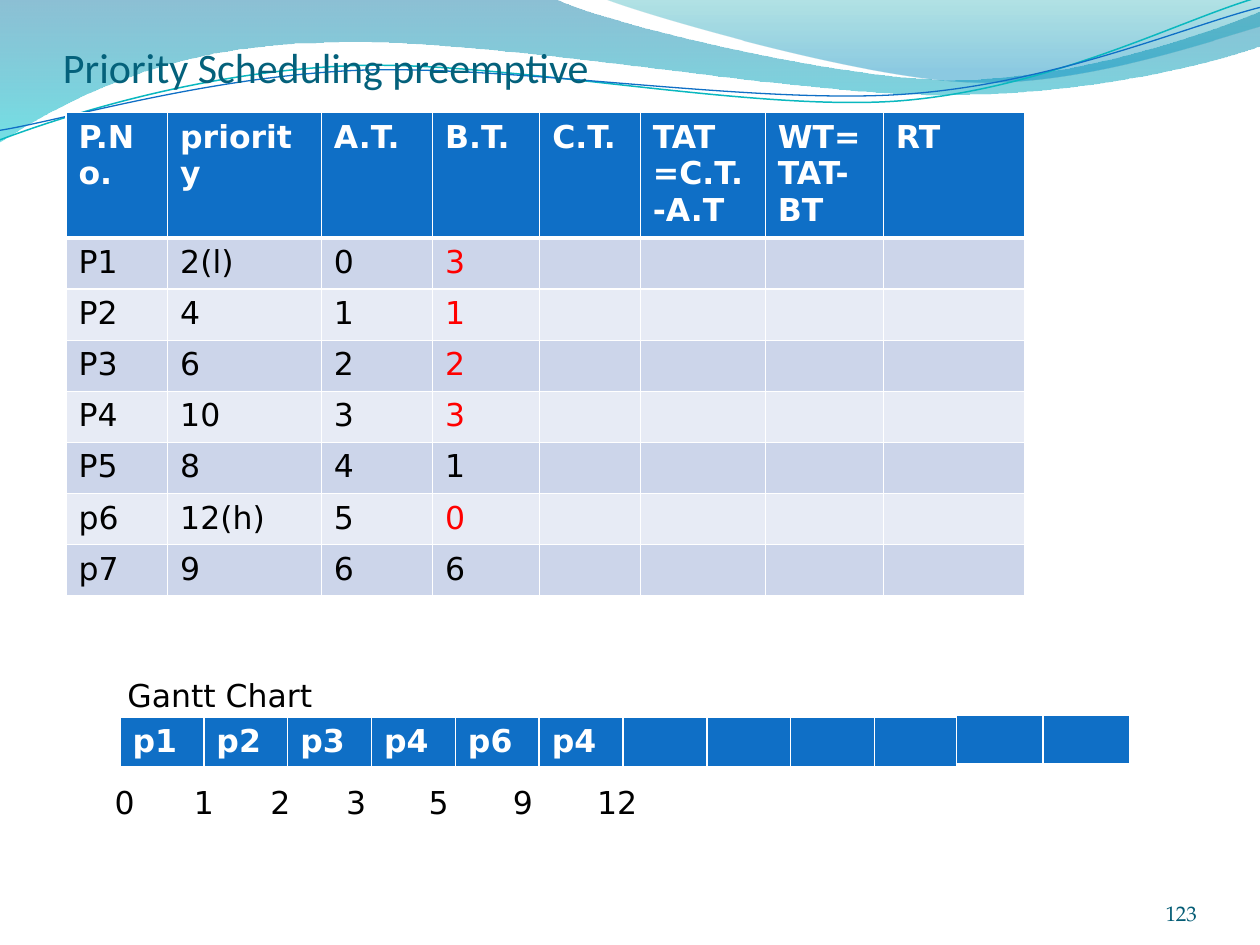
from typing import NamedTuple, Optional

import pptx
import pptx.dml.color
import pptx.enum.text
import pptx.oxml.ns
import pptx.util
from lxml import etree

Cm = pptx.util.Cm
Pt = pptx.util.Pt
RGBColor = pptx.dml.color.RGBColor
Align = pptx.enum.text.PP_ALIGN
Anchor = pptx.enum.text.MSO_ANCHOR
qn = pptx.oxml.ns.qn

BLUE = RGBColor(0x0F, 0x6F, 0xC6)
TEAL = RGBColor(0x0A, 0xB8, 0xBF)
WHITE = RGBColor(0xFF, 0xFF, 0xFF)
BLACK = RGBColor(0, 0, 0)
RED = RGBColor(0xFF, 0, 0)
TITLE_TEAL = RGBColor(0x04, 0x61, 0x7B)
NUMBER_TEAL = RGBColor(0x04, 0x5C, 0x75)
ODD_ROW = RGBColor(0xCC, 0xD5, 0xEA)
EVEN_ROW = RGBColor(0xE7, 0xEB, 0xF5)

BODY = {"name": "DejaVu Sans", "size": Pt(18), "bold": False}
HEADER = {**BODY, "bold": True}
TITLE = {"name": "Calibri", "size": Pt(24), "bold": False}
NUMBER = {"name": "TeX Gyre Pagella", "size": Pt(12), "bold": False}

LINE_TILT = 357.3


class Stop(NamedTuple):
    position: float
    color: RGBColor
    opacity: int


class Wave(NamedTuple):
    """Segments hold one point for a line, three for a Bézier curve, in cm."""
    start: tuple
    segments: list
    stops: tuple = ()
    line: Optional[RGBColor] = None
    width: float = 0


class Label(NamedTuple):
    text: str
    left: float
    top: float
    width: float
    height: float = 1.02
    style: dict = BODY
    color: RGBColor = BLACK
    insets: tuple = (0.25, 0.13, 0.25, 0.13)
    anchor: Anchor = Anchor.TOP
    align: Align = Align.LEFT


class CellLook(NamedTuple):
    fill: RGBColor
    style: dict = BODY
    color: RGBColor = BLACK
    bottom: float = 1


class Grid(NamedTuple):
    left: float
    top: float
    columns: list
    heights: list
    rows: list


WAVES = [
    Wave((0, -0.03), [
        [(11.18, -0.03)],
        [(12.09, 0.43), (16.87, 1.6), (19.25, 1.6)],
        [(21.67, 1.6), (24.33, 0.66), (25.4, 0.23)],
        [(25.43, 0.91)],
        [(24.97, 1.12), (22.1, 1.93), (18.95, 1.91)],
        [(15.8, 1.91), (9.7, 0.71), (6.53, 0.86)],
        [(3.28, 0.89), (1.17, 2.11), (-0.03, 2.87)],
    ], (Stop(0, RGBColor(0, 0x74, 0xA1), 45), Stop(1, RGBColor(0, 0xC6, 0xCF), 55))),
    Wave((12.17, -0.03), [
        [(12.93, 0.28), (17.32, 1.57), (19.53, 1.65)],
        [(21.74, 1.75), (24.41, 0.81), (25.4, 0.53)],
        [(25.4, 0)],
    ], (Stop(0, RGBColor(0, 0xA1, 0xA9), 30), Stop(0.8, RGBColor(0, 0x8B, 0xBF), 45))),
    Wave((-0.05, 2.22), [
        [(1.19, 1.82), (4.01, 1.04), (7.05, 1.06)],
        [(10.05, 1.07), (15.02, 2.37), (18.08, 2.29)],
        [(21.13, 2.2), (23.87, 0.91), (25.41, 0.55)],
    ], line=TEAL, width=0.85),
    Wave((-0.05, 2.03), [
        [(1.16, 1.9), (4.17, 1.15), (7.2, 1.16)],
        [(10.25, 1.18), (15.13, 2.23), (18.19, 2.16)],
        [(21.21, 2.1), (23.93, 1.06), (25.45, 0.75)],
    ], line=BLUE, width=0.75),
]

PROCESSES = Grid(1.33, 2.27, [2.05, 3.1, 2.24, 2.16, 2.03, 2.52, 2.38, 2.84],
                 [2.53] + [1.03] * 7, [
    ["P.No.", "priority", "A.T.", "B.T.", "C.T.", "TAT =C.T.-A.T", "WT=TAT-BT", "RT"],
    ["P1", "2(l)", "0", "3"],
    ["P2", "4", "1", "1"],
    ["P3", "6", "2", "2"],
    ["P4", "10", "3", "3"],
    ["P5", "8", "4", "1"],
    ["p6", "12(h)", "5", "0"],
    ["p7", "9", "6", "6"],
])
BURST_COLUMN = 3
CHANGED_BURST_ROWS = {1, 2, 3, 4, 6}
GANTT = Grid(2.42, 14.46, [1.69] * 10, [1.03], [["p1", "p2", "p3", "p4", "p6", "p4"]])
GANTT_EXTRA = Grid(19.28, 14.41, [1.75] * 2, [1.01], [[]])

PAGE_NUMBER = Label("123", 22.02, 17.65, 2.11, style=NUMBER, color=NUMBER_TEAL,
                    insets=(0, 0, 0, 0), anchor=Anchor.BOTTOM, align=Align.RIGHT)
HEADING = Label("Priority Scheduling preemptive", 1.27, 0.43, 22.86, 1.42, TITLE,
                TITLE_TEAL, insets=(0, 0.13, 0, 0), anchor=Anchor.BOTTOM)
GANTT_TITLE = Label("Gantt Chart", 2.32, 13.49, 5.87)
TICKS = [Label(time, left, 15.65, 0.89 if len(time) == 1 else 1.52)
         for time, left in {"1": 3.66, "0": 2.06, "2": 5.2, "3": 6.73,
                            "5": 8.39, "9": 10.09, "12": 11.79}.items()]


def write(para, text: str, style: dict, color: RGBColor) -> None:
    span = para.add_run()
    span.text = text
    for name, value in style.items():
        setattr(span.font, name, value)
    span.font.color.rgb = color


def bend(shape, segments: list) -> None:
    """Join the straight steps of each three-point segment into one curve."""
    steps = iter(list(shape._element.iter(qn("a:lnTo"))))
    for segment in segments:
        first, *others = [next(steps) for _ in segment]
        if others:
            first.tag_name = None
            curve = etree.Element(qn("a:cubicBezTo"))
            first.addprevious(curve)
            for step in (first, *others):
                curve.append(step[0])
                step.getparent().remove(step)


def draw_wave(page, wave: Wave) -> None:
    points = [(Cm(x), Cm(y)) for segment in wave.segments for x, y in segment]
    builder = page.shapes.build_freeform(*map(Cm, wave.start))
    builder.add_line_segments(points, close=bool(wave.stops))
    shape = builder.convert_to_shape()
    bend(shape, wave.segments)
    shape.shadow.inherit = False
    if not wave.stops:
        shape.rotation = LINE_TILT
        shape.fill.background()
        shape.line.color.rgb = wave.line
        shape.line.width = Pt(wave.width)
        return
    shape.line.fill.background()
    shape.fill.gradient()
    shape.fill.gradient_angle = 270
    for target, stop in zip(shape.fill.gradient_stops, wave.stops):
        target.position = stop.position
        target.color.rgb = stop.color
    for color, stop in zip(shape._element.spPr.iter(qn("a:srgbClr")), wave.stops):
        etree.SubElement(color, qn("a:alpha"), val=str(stop.opacity * 1000))


def draw_label(page, label: Label) -> None:
    box = page.shapes.add_textbox(Cm(label.left), Cm(label.top),
                                  Cm(label.width), Cm(label.height))
    frame = box.text_frame
    settings = dict(zip(("margin_left", "margin_top", "margin_right", "margin_bottom"),
                        map(Cm, label.insets)))
    settings |= {"word_wrap": True, "vertical_anchor": label.anchor}
    for name, value in settings.items():
        setattr(frame, name, value)
    para = frame.paragraphs[0]
    para.alignment = label.align
    write(para, label.text, label.style, label.color)


def set_borders(cell, bottom: float) -> None:
    properties = cell._tc.get_or_add_tcPr()
    for index, (side, width) in enumerate(zip("LRTB", (1, 1, 1, bottom))):
        line = etree.Element(qn(f"a:ln{side}"), w=str(Pt(width)))
        fill = etree.SubElement(line, qn("a:solidFill"))
        etree.SubElement(fill, qn("a:srgbClr"), val=str(WHITE))
        properties.insert(index, line)


def cell_look(row: int, column: int) -> CellLook:
    if row == 0:
        return CellLook(BLUE, HEADER, WHITE, bottom=3)
    changed = column == BURST_COLUMN and row in CHANGED_BURST_ROWS
    return CellLook(ODD_ROW if row % 2 else EVEN_ROW, color=RED if changed else BLACK)


def draw_grid(page, grid: Grid) -> None:
    table = page.shapes.add_table(
        len(grid.rows), len(grid.columns), Cm(grid.left), Cm(grid.top),
        Cm(sum(grid.columns)), Cm(sum(grid.heights))).table
    table.horz_banding = False
    for column, width in zip(table.columns, grid.columns):
        column.width = Cm(width)
    for row_index, (row, height) in enumerate(zip(table.rows, grid.heights)):
        row.height = Cm(height)
        texts = grid.rows[row_index]
        for column_index, cell in enumerate(row.cells):
            look = cell_look(row_index, column_index)
            cell.fill.solid()
            cell.fill.fore_color.rgb = look.fill
            set_borders(cell, look.bottom)
            if column_index < len(texts):
                write(cell.text_frame.paragraphs[0], texts[column_index],
                      look.style, look.color)


def main() -> None:
    deck = pptx.Presentation()
    deck.slide_width, deck.slide_height = Cm(25.4), Cm(19.05)
    page = deck.slides.add_slide(deck.slide_layouts[6])
    painters = {Wave: draw_wave, Grid: draw_grid, Label: draw_label}
    for part in (*WAVES, PROCESSES, PAGE_NUMBER, HEADING, GANTT, *TICKS[:2],
                 GANTT_TITLE, GANTT_EXTRA, *TICKS[2:]):
        painters[type(part)](page, part)
    deck.save("out.pptx")


if __name__ == "__main__":
    main()
